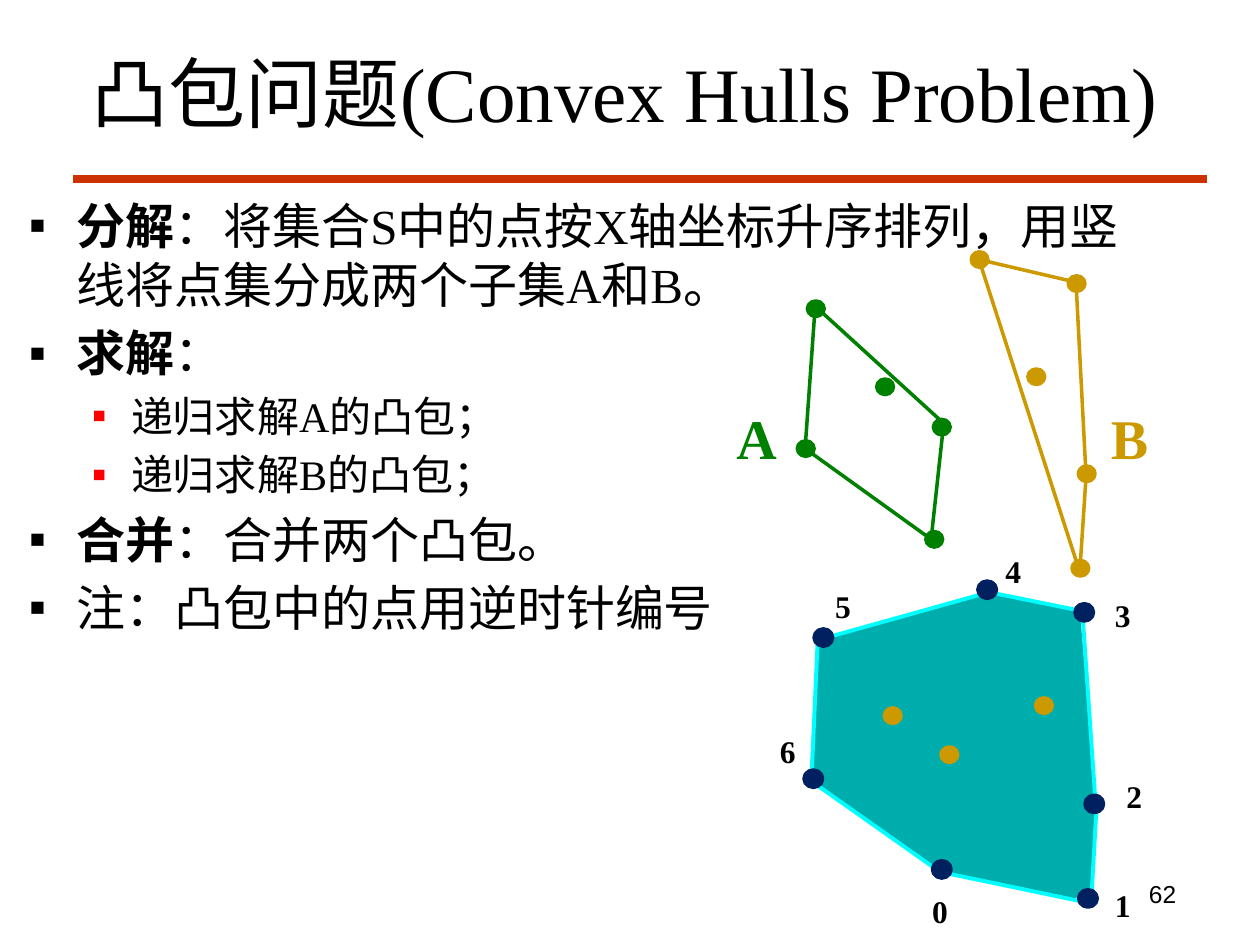
from dataclasses import dataclass

from lxml import etree
from pptx import Presentation
from pptx import util as u
from pptx.dml.color import RGBColor
from pptx.enum import shapes, text
from pptx.oxml.ns import qn

PX = 9144  # EMU in one px, 100 px to the inch


@dataclass(frozen=True)
class Theme:
    serif: str = "Times New Roman"
    sans: str = "Arial"
    ink: str = "000000"
    rule: str = "CC3300"
    mark: str = "FF0000"
    green: str = "008000"
    gold: str = "CC9900"
    navy: str = "002060"
    teal: str = "00ADAD"
    cyan: str = "00FFFF"
    title: int = 44
    name: int = 32
    body: tuple = (28, 24)
    label: int = 18
    page: int = 14


class Board:
    """Draws on one slide in one style."""

    def __init__(self, slide, theme):
        self.slide, self.theme = slide, theme

    def style(self, para, size, color, bold=None, face=None):
        font = para.font
        font.name, font.size, font.bold = face or self.theme.serif, u.Pt(size), bold
        font.color.rgb = RGBColor.from_string(color)

    def place(self, shape, *box):
        shape.left, shape.top, shape.width, shape.height = (n * PX for n in box)
        shape.text_frame.auto_size = text.MSO_AUTO_SIZE.NONE
        return shape.text_frame

    def title(self, words, *box):
        frame = self.place(self.slide.shapes.title, *box)
        frame.vertical_anchor = text.MSO_ANCHOR.MIDDLE
        para = frame.paragraphs[0]
        para.text, para.alignment = words, text.PP_ALIGN.CENTER
        self.style(para, self.theme.title, self.theme.ink)

    def bullet(self, para, level):
        props = para._p.get_or_add_pPr()
        left, hang = ((38, 38), (81, 31))[level]
        props.set("marL", str(left * PX))
        props.set("indent", str(-hang * PX))
        tint = etree.SubElement(props, qn("a:buClr"))
        color = (self.theme.ink, self.theme.mark)[level]
        etree.SubElement(tint, qn("a:srgbClr"), val=color)
        etree.SubElement(props, qn("a:buFont"), typeface=self.theme.sans)
        etree.SubElement(props, qn("a:buChar"), char="▪")

    def list(self, items, *box):
        frame = self.place(self.slide.placeholders[1], *box)
        for i, (level, head, rest) in enumerate(items):
            para = frame.add_paragraph() if i else frame.paragraphs[0]
            para.level = level
            size = self.theme.body[level]
            self.bullet(para, level)
            para.space_before = u.Pt(size * 0.2)
            self.style(para, size, self.theme.ink)
            if head:
                run = para.add_run()
                run.text, run.font.bold = head, True
            para.add_run().text = rest

    def label(self, words, box, size, color, bold=True, face=None, align=None):
        shape = self.slide.shapes.add_textbox(0, 0, 0, 0)
        frame = self.place(shape, *box)
        frame.word_wrap = True
        para = frame.paragraphs[0]
        para.text, para.alignment = words, align
        self.style(para, size, color, bold, face)

    def line(self, start, end, color, width):
        ends = [n * PX for n in (*start, *end)]
        edge = self.slide.shapes.add_connector(shapes.MSO_CONNECTOR.STRAIGHT, *ends)
        edge.line.color.rgb = RGBColor.from_string(color)
        edge.line.width = u.Pt(width)
        etree.SubElement(edge._element.spPr, qn("a:effectLst"))

    def ring(self, points, color, width):
        for start, end in zip(points, points[1:] + points[:1]):
            self.line(start, end, color, width)

    def dots(self, corners, color, width=2.25):
        for x, y in corners:
            dot = self.slide.shapes.add_shape(
                shapes.MSO_SHAPE.OVAL, x * PX, y * PX, 13 * PX, 12 * PX)
            self.fill(dot, color)
            dot.line.color.rgb = RGBColor.from_string(color)
            dot.line.width = u.Pt(width)

    def area(self, points, color):
        path = self.slide.shapes.build_freeform(*points[0], scale=PX)
        path.add_line_segments(points[1:], close=True)
        shape = path.convert_to_shape()
        self.fill(shape, color)
        shape.line.fill.background()

    def fill(self, shape, color):
        shape.shadow.inherit = False
        shape.fill.solid()
        shape.fill.fore_color.rgb = RGBColor.from_string(color)


def main():
    deck = Presentation()
    deck.slide_width, deck.slide_height = 1000 * PX, 750 * PX
    theme = Theme()
    board = Board(deck.slides.add_slide(deck.slide_layouts[1]), theme)

    # Title, rule and page number
    board.title("凸包问题(Convex Hulls Problem)", 42, 33, 908, 79)
    board.line((58, 142), (958, 142), theme.rule, 4.5)
    board.label("62", (902, 693, 65, 52), theme.page, theme.ink, False, theme.sans)

    # Steps of the method
    board.list([
        (0, "分解", "：将集合S中的点按X轴坐标升序排列，用竖线将点集分成两个子集A和B。"),
        (0, "求解", "："),
        (1, "", "递归求解A的凸包；"),
        (1, "", "递归求解B的凸包；"),
        (0, "合并", "：合并两个凸包。"),
        (0, "", "注：凸包中的点用逆时针编号"),
    ], 13, 150, 892, 382)

    # Hulls of the two subsets
    board.dots([(771, 200), (816, 293), (848, 219), (856, 370), (851, 445)], theme.gold)
    board.dots([(641, 239), (633, 350), (735, 422), (696, 301), (741, 333)], theme.green)
    board.ring([(647, 243), (639, 356), (739, 428), (749, 336)], theme.green, 2)
    board.ring([(777, 206), (857, 454), (862, 378), (854, 224)], theme.gold, 2)
    for name, x, color in (("A", 550, theme.green), ("B", 846, theme.gold)):
        board.label(name, (x, 315, 101, 63), theme.name, color,
                    align=text.PP_ALIGN.CENTER)

    # Merged hull
    board.area([(783, 469), (655, 507), (648, 511), (643, 612), (647, 623),
                (651, 626), (742, 689), (753, 693), (852, 714), (866, 704),
                (871, 640), (870, 630), (857, 485)], theme.teal)
    board.dots([(747, 593), (822, 554), (702, 562)], theme.gold)
    board.ring([(785, 470), (649, 508), (644, 620), (746, 692), (866, 717),
                (870, 645), (859, 485)], theme.cyan, 2.25)

    # Hull corners, numbered counterclockwise: dot, then label
    corners = [((741, 684), (730, 703)), ((857, 707), (875, 698)),
               ((862, 632), (884, 612)), ((854, 480), (875, 468)),
               ((777, 462), (788, 433)), ((647, 500), (653, 461)),
               ((639, 612), (609, 576))]
    board.dots([dot for dot, _ in corners], theme.navy, 3.25)
    for i, (_, spot) in enumerate(corners):
        board.label(str(i), (*spot, 31, 40), theme.label, theme.ink)

    deck.save("out.pptx")


if __name__ == "__main__":
    main()
